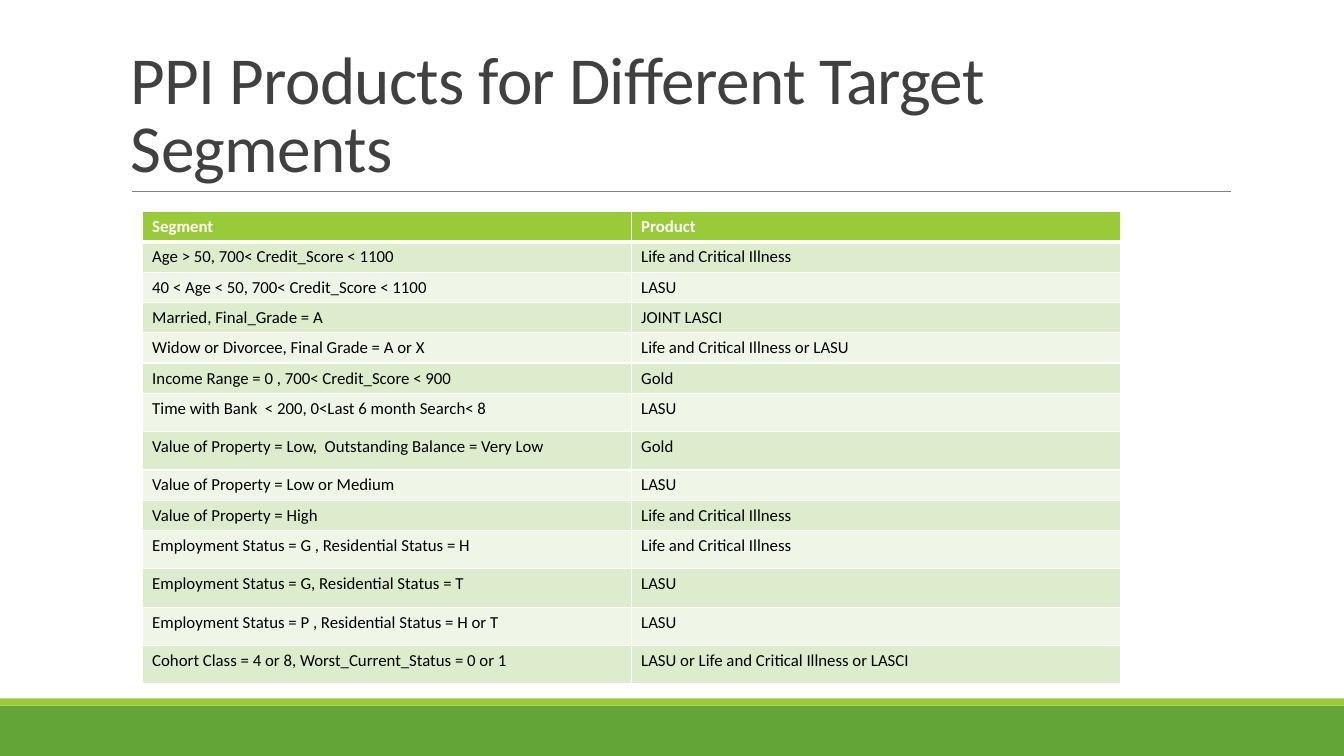
from lxml import etree
from pptx import Presentation
from pptx.dml.color import RGBColor
from pptx.enum import shapes, text
from pptx.oxml.ns import qn
from pptx.util import Inches, Pt

WHITE = RGBColor(0xFF, 0xFF, 0xFF)
BLACK = RGBColor(0, 0, 0)
TITLE_GREY = RGBColor(0x40, 0x40, 0x40)
RULE_GREY = RGBColor(0x80, 0x80, 0x80)
GREEN = RGBColor(0x63, 0xA5, 0x37)
LIME = RGBColor(0x99, 0xCB, 0x38)
BAND_DARK = RGBColor(0xDE, 0xEC, 0xCE)
BAND_LIGHT = RGBColor(0xEF, 0xF6, 0xE8)

ROW, TALL_ROW = 0.3, 0.38
SEGMENTS = [
    ("Segment", "Product", ROW),
    ("Age > 50, 700< Credit_Score < 1100", "Life and Critical Illness", ROW),
    ("40 < Age < 50, 700< Credit_Score < 1100", "LASU", ROW),
    ("Married, Final_Grade = A", "JOINT LASCI", ROW),
    ("Widow or Divorcee, Final Grade = A or X", "Life and Critical Illness or LASU", ROW),
    ("Income Range = 0 , 700< Credit_Score < 900", "Gold", ROW),
    ("Time with Bank  < 200, 0<Last 6 month Search< 8", "LASU", TALL_ROW),
    ("Value of Property = Low,  Outstanding Balance = Very Low", "Gold", TALL_ROW),
    ("Value of Property = Low or Medium", "LASU", ROW),
    ("Value of Property = High", "Life and Critical Illness", ROW),
    ("Employment Status = G , Residential Status = H", "Life and Critical Illness", TALL_ROW),
    ("Employment Status = G, Residential Status = T", "LASU", TALL_ROW),
    ("Employment Status = P , Residential Status = H or T", "LASU", TALL_ROW),
    ("Cohort Class = 4 or 8, Worst_Current_Status = 0 or 1",
     "LASU or Life and Critical Illness or LASCI", TALL_ROW),
]


def write(frame, words, size=12, color=BLACK, bold=False, line_spacing=None,
          tracking=None, font="Calibri"):
    paragraph = frame.paragraphs[0]
    paragraph.line_spacing = line_spacing
    run = paragraph.add_run()
    run.text = words
    run.font.name, run.font.size, run.font.bold = font, Pt(size), bold
    run.font.color.rgb = color
    if tracking is not None:
        run.font._element.set("spc", str(round(tracking * 100)))


def set_borders(cell, color, widths):
    """Draw cell borders; widths maps side tags to points."""
    properties = cell._tc.get_or_add_tcPr()
    for position, (side, width) in enumerate(widths.items()):
        line = etree.Element(qn("a:" + side), w=str(Pt(width)))
        fill = etree.SubElement(line, qn("a:solidFill"))
        etree.SubElement(fill, qn("a:srgbClr"), val=str(color))
        properties.insert(position, line)


class SlideBuilder:
    def __init__(self, slide):
        self.slide = slide

    def bar(self, left, top, width, height, color):
        shape = self.slide.shapes.add_shape(
            shapes.MSO_SHAPE.RECTANGLE, Inches(left), Inches(top), Inches(width), Inches(height))
        shape.shadow.inherit = False
        shape.fill.solid()
        shape.fill.fore_color.rgb = color
        shape.line.fill.background()

    def rule(self, left, right, top, color, width):
        connector = self.slide.shapes.add_connector(
            shapes.MSO_CONNECTOR.STRAIGHT, Inches(left), Inches(top), Inches(right), Inches(top))
        connector.line.color.rgb = color
        connector.line.width = Pt(width)
        etree.SubElement(connector._element.spPr, qn("a:effectLst"))

    def title(self, left, top, width, height, words):
        box = self.slide.shapes.add_textbox(
            Inches(left), Inches(top), Inches(width), Inches(height))
        frame = box.text_frame
        frame.word_wrap = True
        frame.vertical_anchor = text.MSO_ANCHOR.BOTTOM
        write(frame, words, size=48, color=TITLE_GREY, line_spacing=0.85, tracking=-0.5)

    def table(self, left, top, column_width, rows):
        height = sum(row[-1] for row in rows)
        table = self.slide.shapes.add_table(
            len(rows), 2, Inches(left), Inches(top),
            Inches(2 * column_width), Inches(height)).table
        for column in table.columns:
            column.width = Inches(column_width)
        for index, (*words, row_height) in enumerate(rows):
            table.rows[index].height = Inches(row_height)
            header = index == 0
            band = LIME if header else (BAND_DARK if index % 2 else BAND_LIGHT)
            for cell, value in zip(table.rows[index].cells, words):
                cell.fill.solid()
                cell.fill.fore_color.rgb = band
                write(cell.text_frame, value, color=WHITE if header else BLACK, bold=header)
                set_borders(cell, WHITE, {"lnL": 1, "lnR": 1, "lnT": 3 if index == 1 else 1,
                                          "lnB": 3 if header else 1})


presentation = Presentation()
presentation.slide_width, presentation.slide_height = Inches(13.33), Inches(7.5)
builder = SlideBuilder(presentation.slides.add_slide(presentation.slide_layouts[6]))

# Footer bands and title rule
builder.bar(0, 7, 13.33, 0.5, GREEN)
builder.bar(0, 6.93, 13.33, 0.07, LIME)
builder.rule(1.31, 12.21, 1.9, RULE_GREY, 0.5)

# Title
builder.title(1.2, 0.31, 11, 1.59, "PPI Products for Different Target Segments")

# Segment and product table
builder.table(1.41, 2.1, 4.85, SEGMENTS)

presentation.save("out.pptx")
